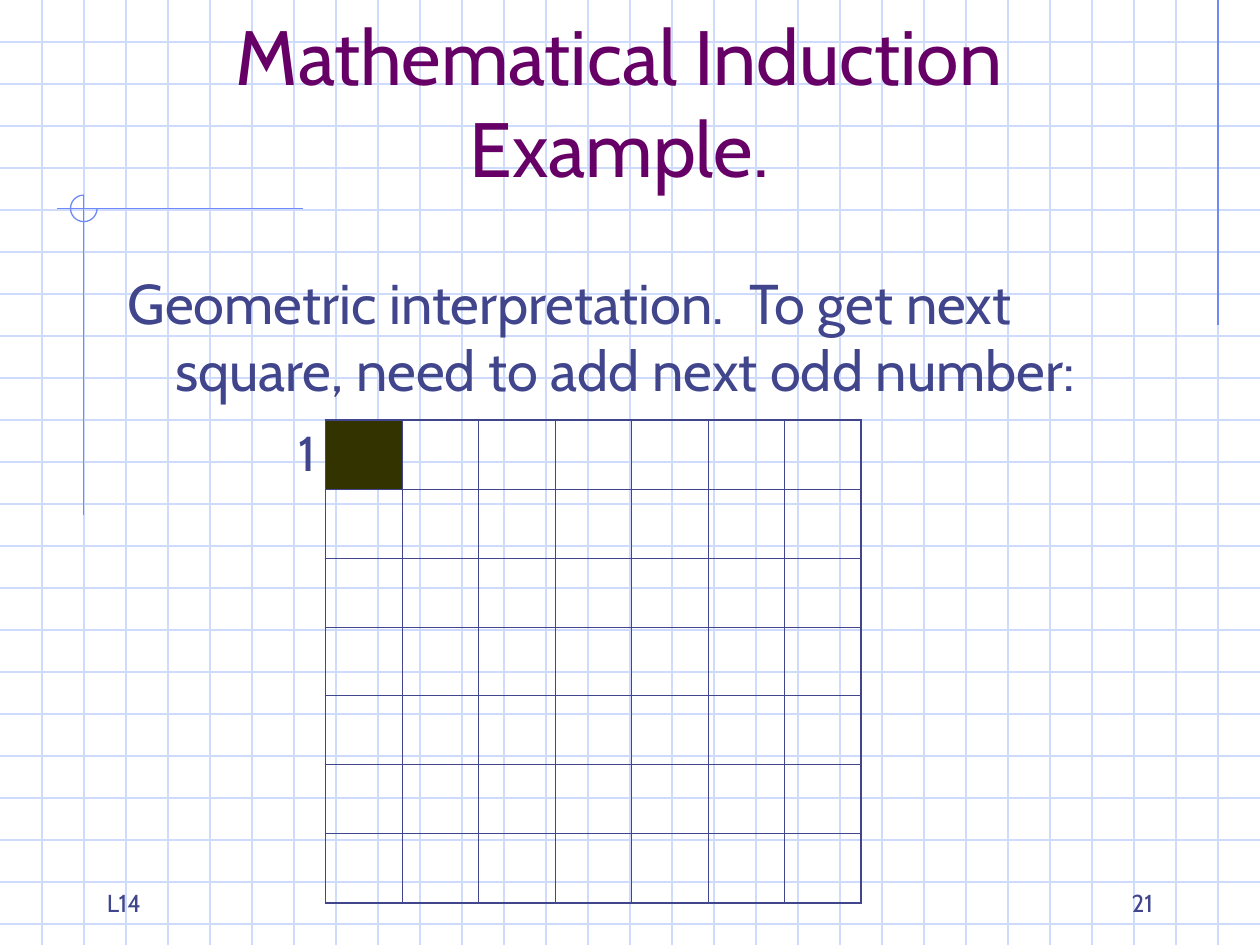
from lxml import etree
from pptx import Presentation
from pptx.dml.color import RGBColor
from pptx.enum import shapes, text
from pptx.oxml import ns
from pptx.util import Pt

FONT = "Cabin"
INK, PURPLE, OLIVE = "40458C", "660066", "333300"
GRID_BLUE, ACCENT_BLUE = "CFDBFD", "6F89F7"
SLIDE_W, SLIDE_H = 720, 540


def color(hex_string):
    """Turn a hex string into a colour."""
    return RGBColor.from_string(hex_string)


def place(shape, box):
    """Move a shape to a box of left, top, width, height."""
    shape.left, shape.top, shape.width, shape.height = map(Pt, box)


def rule(slide, x1, y1, x2, y2, hex_string):
    """Draw one thin line without a shadow."""
    line = slide.shapes.add_connector(
        shapes.MSO_CONNECTOR.STRAIGHT, Pt(x1), Pt(y1), Pt(x2), Pt(y2))
    line.line.color.rgb = color(hex_string)
    line.line.width = Pt(0.74)
    etree.SubElement(line._element.spPr, ns.qn("a:effectLst"))


def style(paragraph, size, hex_string, align=text.PP_ALIGN.LEFT):
    """Set font, colour and alignment of a paragraph."""
    paragraph.font.name = FONT
    paragraph.font.size = Pt(size)
    paragraph.font.color.rgb = color(hex_string)
    paragraph.alignment = align


def graph_paper(slide, box, step=24):
    """Cover the box with evenly spaced grid lines."""
    left, top, width, height = box
    for y in range(top + step, top + height, step):
        rule(slide, left, y, left + width, y, GRID_BLUE)
    for x in range(left + step, left + width, step):
        rule(slide, x, top, x, top + height, GRID_BLUE)


def corner_mark(slide, box):
    """Draw crossed lines and a three-quarter circle at the crossing."""
    left, top, width, height = box
    cross_x, cross_y, radius = left + 15.4, top + 7.6, 7.6
    rule(slide, left + width, cross_y, left, cross_y, ACCENT_BLUE)
    rule(slide, cross_x, top, cross_x, top + height, ACCENT_BLUE)
    ring = slide.shapes.add_shape(
        shapes.MSO_SHAPE.ARC, Pt(cross_x - radius), Pt(cross_y - radius),
        Pt(2 * radius), Pt(2 * radius))
    ring.adjustments[0], ring.adjustments[1] = 0, 162
    ring.shadow.inherit = False
    ring.fill.background()
    ring.line.color.rgb = color(ACCENT_BLUE)
    ring.line.width = Pt(0.74)


def heading(slide, box):
    """Fill the title placeholder and bring it above the grid."""
    title = slide.shapes.title
    place(title, box)
    frame = title.text_frame
    frame.text = "Mathematical Induction\vExample."
    frame.auto_size = text.MSO_AUTO_SIZE.NONE
    frame.vertical_anchor = text.MSO_ANCHOR.BOTTOM
    style(frame.paragraphs[0], 44, PURPLE, text.PP_ALIGN.CENTER)
    slide.shapes._spTree.append(title._element)


def explanation(slide, box):
    """Write the statement and the label of the first square."""
    frame = slide.shapes.add_textbox(*map(Pt, box)).text_frame
    frame.word_wrap = True
    statement = frame.paragraphs[0]
    statement.text = ("Geometric interpretation.  To get next square, "
                      "need to add next odd number:")
    label = frame.add_paragraph()
    label.text = "1"
    for paragraph, size, before, margin, indent in (
            (statement, 32, 8, 27, -27), (label, 28, 11, 97.5, 0)):
        style(paragraph, size, INK)
        paragraph.space_before = Pt(before)
        properties = paragraph._p.get_or_add_pPr()
        properties.set("marL", str(Pt(margin)))
        properties.set("indent", str(Pt(indent)))


def cell_border(cell, side, width):
    """Add one border (L, R, T or B) to a cell."""
    line = etree.SubElement(cell._tc.get_or_add_tcPr(), ns.qn("a:ln" + side),
                            w=str(Pt(width)))
    fill = etree.SubElement(line, ns.qn("a:solidFill"))
    etree.SubElement(fill, ns.qn("a:srgbClr"), val=INK)


def squares(slide, box, count=7):
    """Build the board of squares, with the first one filled."""
    left, top, width, height = box
    board = slide.shapes.add_table(count, count, *map(Pt, box)).table
    board.first_row = board.horz_banding = False
    for column in board.columns:
        column.width = Pt(width / count)
    last = count - 1
    for r, row in enumerate(board.rows):
        row.height = Pt(height / count)
        for c, cell in enumerate(row.cells):
            outer = {"L": c == 0, "R": c == last, "T": r == 0, "B": r == last}
            for side, is_outer in outer.items():
                cell_border(cell, side, 1.08 if is_outer else 0.45)
            if r == c == 0:
                cell.fill.solid()
                cell.fill.fore_color.rgb = color(OLIVE)
            else:
                cell.fill.background()


def footer(slide, box, words, align):
    """Write a small footer text at the bottom of its box."""
    frame = slide.shapes.add_textbox(*map(Pt, box)).text_frame
    frame.word_wrap = True
    frame.vertical_anchor = text.MSO_ANCHOR.BOTTOM
    frame.text = words
    style(frame.paragraphs[0], 14, INK, align)


def induction_slide(deck):
    """Put the whole slide together."""
    slide = deck.slides.add_slide(deck.slide_layouts[5])
    graph_paper(slide, (0, 0, SLIDE_W, SLIDE_H))
    rule(slide, 696, 0, 696, 186, ACCENT_BLUE)
    corner_mark(slide, (32.5, 111.5, 140.5, 183))
    heading(slide, (48, 24, 612, 90))
    explanation(slide, (66, 150, 612, 324))
    squares(slide, (186, 240, 306, 276))
    footer(slide, (516, 492, 150, 36), "21", text.PP_ALIGN.RIGHT)
    footer(slide, (54, 492, 150, 36), "L14", text.PP_ALIGN.LEFT)


presentation = Presentation()
presentation.slide_width, presentation.slide_height = Pt(SLIDE_W), Pt(SLIDE_H)
induction_slide(presentation)
presentation.save("out.pptx")
